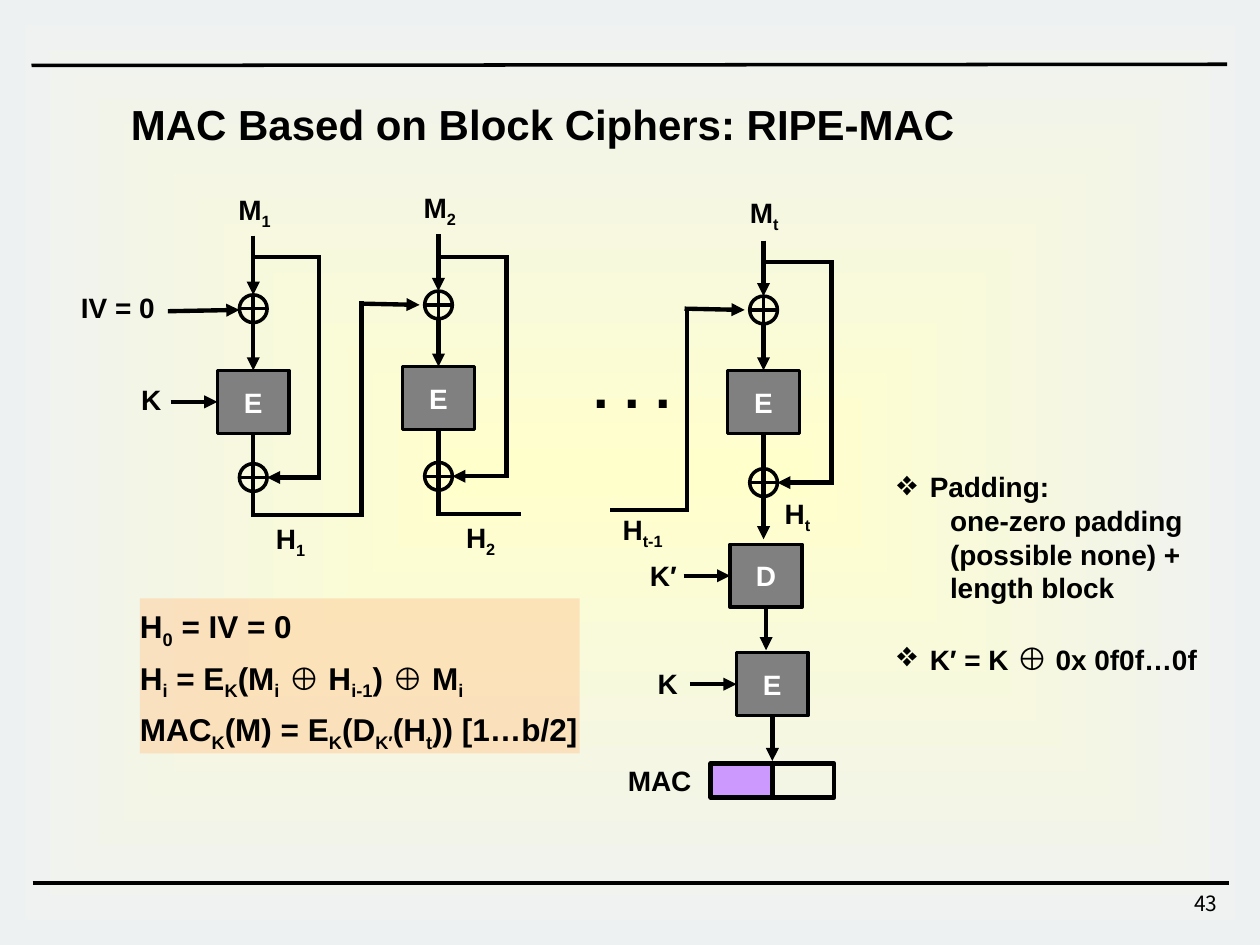
from lxml import etree
from pptx import Presentation, util as u
from pptx.dml import color
from pptx.enum import shapes, text
from pptx.oxml import ns, parse_xml

BLACK, WHITE, GREY = "000000", "FFFFFF", "808080"
BOX_W, BOX_H, RADIUS, REACH, LABEL_PAD = 0.57, 0.5, 0.11, 0.37, 0.1

RULES = [((0.25, 0.52), (9.74, 0.51)), ((0.26, 7.01), (9.75, 7.01))]
COLUMNS = [
    dict(x=2.01, start=1.87, branch=2.04, xor=2.45, box=2.94, mix=3.79, end=4.09, right=2.53),
    dict(x=3.48, start=1.86, branch=2.04, xor=2.42, box=2.91, mix=3.78, end=4.08, right=4.02),
    dict(x=6.06, start=1.91, branch=2.08, xor=2.46, box=2.94, mix=3.83, end=4.28, right=6.60),
]
CHAIN = [("D", 6.08, 4.32, 5.16), ("E", 6.13, 5.18, 6.04)]
CHAINING = [
    [(1.35, 2.47), (1.90, 2.46)],
    [(2.01, 4.09), (2.87, 4.09), (2.87, 2.41), (3.33, 2.42)],
    [(4.86, 4.05), (5.45, 4.05), (5.45, 2.45), (5.91, 2.46)],
]
OUTPUT = ((3.48, 4.08), (4.12, 4.08))
LABELS = [
    ("M|1", 1.89, 1.53, 0.26), ("M|2", 3.36, 1.51, 0.26), ("M|t", 5.95, 1.55, 0.23),
    ("H|1", 2.19, 4.14, 0.23), ("H|2", 3.70, 4.13, 0.23),
    ("H|t-1", 4.94, 4.07, 0.32), ("H|t", 6.23, 3.94, 0.20),
    ("IV = 0", 0.64, 2.31, 0.59), ("K", 1.12, 3.04, 0.16),
    ("K′", 5.15, 4.43, 0.23), ("K", 5.22, 5.29, 0.16), ("MAC", 4.98, 6.06, 0.51),
]
FORMULAS = [
    "H|0| = IV = 0",
    "H|i| = E|K|(M|i| ⊕ H|i-1|) ⊕ M|i",
    "MAC|K|(M) = E|K|(D|K′|(H|t|)) [1…b/2]",
]
NOTES = [
    (True, 0, [("Padding:", 16)]),
    (False, 0, [("one-zero padding (possible none) + length block", 16)]),
    (True, 20, [("K′ = K ", 16), ("⊕", 18), (" 0x 0f0f…0f", 16)]),
]


def rgb(value):
    return color.RGBColor.from_string(value)


def style(font, size, ink=BLACK, bold=True, name="Arial"):
    font.size, font.bold, font.name = u.Pt(size), bold, name
    font.color.rgb = rgb(ink)


def write(para, content, size):
    for i, part in enumerate(content.split("|")):
        if part:
            span = para.add_run()
            span.text = part
            style(span.font, size)
            if i % 2:
                span._r.get_or_add_rPr().set("baseline", "-25000")


def add_text(left, top, width, height, inset=(0, 0), wrap=False, align="LEFT"):
    box = page.shapes.add_textbox(*map(u.Inches, (left, top, width, height)))
    frame = box.text_frame
    frame.margin_left = frame.margin_right = u.Inches(inset[0])
    frame.margin_top = frame.margin_bottom = u.Inches(inset[1])
    frame.word_wrap = wrap
    frame.paragraphs[0].alignment = getattr(text.PP_ALIGN, align)
    return box


def add_shape(kind, left, top, width, height, fill=None, line=2, parent=None):
    shape = (parent or page).shapes.add_shape(kind, *map(u.Inches, (left, top, width, height)))
    shape.shadow.inherit = False
    if fill:
        shape.fill.solid()
        shape.fill.fore_color.rgb = rgb(fill)
    else:
        shape.fill.background()
    if line:
        shape.line.color.rgb = rgb(BLACK)
        shape.line.width = u.Pt(line)
    else:
        shape.line.fill.background()
    return shape


def add_line(start, end, arrow=False, width=2.5, parent=None, cap="flat"):
    line = (parent or page).shapes.add_connector(
        shapes.MSO_CONNECTOR.STRAIGHT, *map(u.Inches, (*start, *end)))
    line.line.color.rgb = rgb(BLACK)
    line.line.width = u.Pt(width)
    stroke = line.line._get_or_add_ln()
    stroke.set("cap", cap)
    if arrow:
        etree.SubElement(stroke, ns.qn("a:tailEnd"), type="triangle")
    etree.SubElement(line._element.spPr, ns.qn("a:effectLst"))
    return line


def add_path(points):
    for i in range(len(points) - 1):
        add_line(points[i], points[i + 1], arrow=i == len(points) - 2, cap="sq")


def add_xor(x, y):
    group = page.shapes.add_group_shape()
    add_shape(shapes.MSO_SHAPE.OVAL, x - RADIUS, y - RADIUS, 2 * RADIUS, 2 * RADIUS, parent=group)
    add_line((x - RADIUS, y), (x + RADIUS, y), width=2, parent=group)
    add_line((x, y - RADIUS), (x, y + RADIUS), width=2, parent=group)


def add_cipher(letter, x, top):
    box = add_shape(shapes.MSO_SHAPE.RECTANGLE, x - BOX_W / 2, top, BOX_W, BOX_H, GREY)
    box.text_frame.text = letter
    para = box.text_frame.paragraphs[0]
    para.alignment = text.PP_ALIGN.CENTER
    style(para.runs[0].font, 16, WHITE)
    return box


def add_key_arrow(box, x, top):
    y, left = top + BOX_H / 2, x - BOX_W / 2
    add_line((left - REACH, y), (left, y), arrow=True).end_connect(box, 1)


deck = Presentation()
deck.slide_width, deck.slide_height = u.Inches(10), u.Inches(7.5)
page = deck.slides.add_slide(deck.slide_layouts[6])

backdrop = add_shape(shapes.MSO_SHAPE.RECTANGLE, 0, 0, 10, 7.5, WHITE, line=0)
solid = backdrop._element.spPr.find(ns.qn("a:solidFill"))
solid.getparent().replace(solid, parse_xml(
    f'<a:gradFill {ns.nsdecls("a")} rotWithShape="1"><a:gsLst>'
    '<a:gs pos="0"><a:srgbClr val="FFFFCC"/></a:gs>'
    '<a:gs pos="100000"><a:srgbClr val="EEF1F2"/></a:gs></a:gsLst>'
    '<a:path path="rect"><a:fillToRect l="50000" t="50000" r="50000" b="50000"/></a:path>'
    '</a:gradFill>'))
for start, end in RULES:
    add_line(start, end, width=2)

number = add_text(7.68, 7.02, 2.08, 0.33, (0.1, 0.05), True, "RIGHT").text_frame.paragraphs[0]
number.text = "43"
style(number.runs[0].font, 12, bold=False, name="Noto Sans CJK KR")
title = add_text(0.94, 0.73, 6.74, 0.5, (0.1, 0.05)).text_frame.paragraphs[0]
write(title, "MAC Based on Block Ciphers: RIPE-MAC", 24)

for i, col in enumerate(COLUMNS):
    x, right = col["x"], col["right"]
    box = add_cipher("E", x, col["box"])
    add_line((x, col["start"]), (x, col["xor"] - RADIUS), arrow=True)
    add_line((x, col["xor"] + RADIUS), (x, col["box"]), arrow=True).end_connect(box, 0)
    add_line((x, col["box"] + BOX_H), (x, col["end"]), arrow=i == 2).begin_connect(box, 2)
    add_path([(x, col["branch"]), (right, col["branch"]), (right, col["mix"]),
              (x + RADIUS, col["mix"])])
    for y in (col["xor"], col["mix"]):
        add_xor(x, y)
    if i == 0:
        add_key_arrow(box, x, col["box"])
for points in CHAINING:
    add_path(points)
add_line(*OUTPUT, cap="sq")

for letter, x, top, end in CHAIN:
    box = add_cipher(letter, x, top)
    add_key_arrow(box, x, top)
    add_line((x, top + BOX_H), (x, end), arrow=True).begin_connect(box, 2)
for left, fill in ((5.64, "CC99FF"), (6.13, None)):
    add_shape(shapes.MSO_SHAPE.RECTANGLE, left, 6.06, 0.49, 0.27, fill, 2.5)

for label, left, top, width in LABELS:
    box = add_text(left - LABEL_PAD, top, width + 2 * LABEL_PAD, 0.27, align="CENTER")
    write(box.text_frame.paragraphs[0], label, 16)
write(add_text(4.71, 2.8, 0.62, 0.53, align="CENTER").text_frame.paragraphs[0], ". . .", 32)

formula_box = add_text(1.11, 4.75, 3.49, 1.23)
formula_box.fill.solid()
formula_box.fill.fore_color.rgb = rgb("FFCC99")
tint = formula_box._element.spPr.find(".//" + ns.qn("a:srgbClr"))
etree.SubElement(tint, ns.qn("a:alpha"), val="50000")
frame = formula_box.text_frame
for i, formula in enumerate(FORMULAS):
    para = frame.add_paragraph() if i else frame.paragraphs[0]
    para.line_spacing = 1.2
    write(para, formula, 18)

frame = add_text(7.12, 3.73, 2.57, 1.63, wrap=True).text_frame
for i, (bulleted, gap, spans) in enumerate(NOTES):
    para = frame.add_paragraph() if i else frame.paragraphs[0]
    props = para._p.get_or_add_pPr()
    props.set("marL", str(u.Inches(0.26 if bulleted else 0.42)))
    props.set("indent", str(u.Inches(-0.26 if bulleted else 0)))
    if gap:
        para.space_before = u.Pt(gap)
    if bulleted:
        etree.SubElement(props, ns.qn("a:buSzPct"), val="125000")
        etree.SubElement(props, ns.qn("a:buChar"), char="❖")
    for content, size in spans:
        write(para, content, size)

deck.save("out.pptx")
